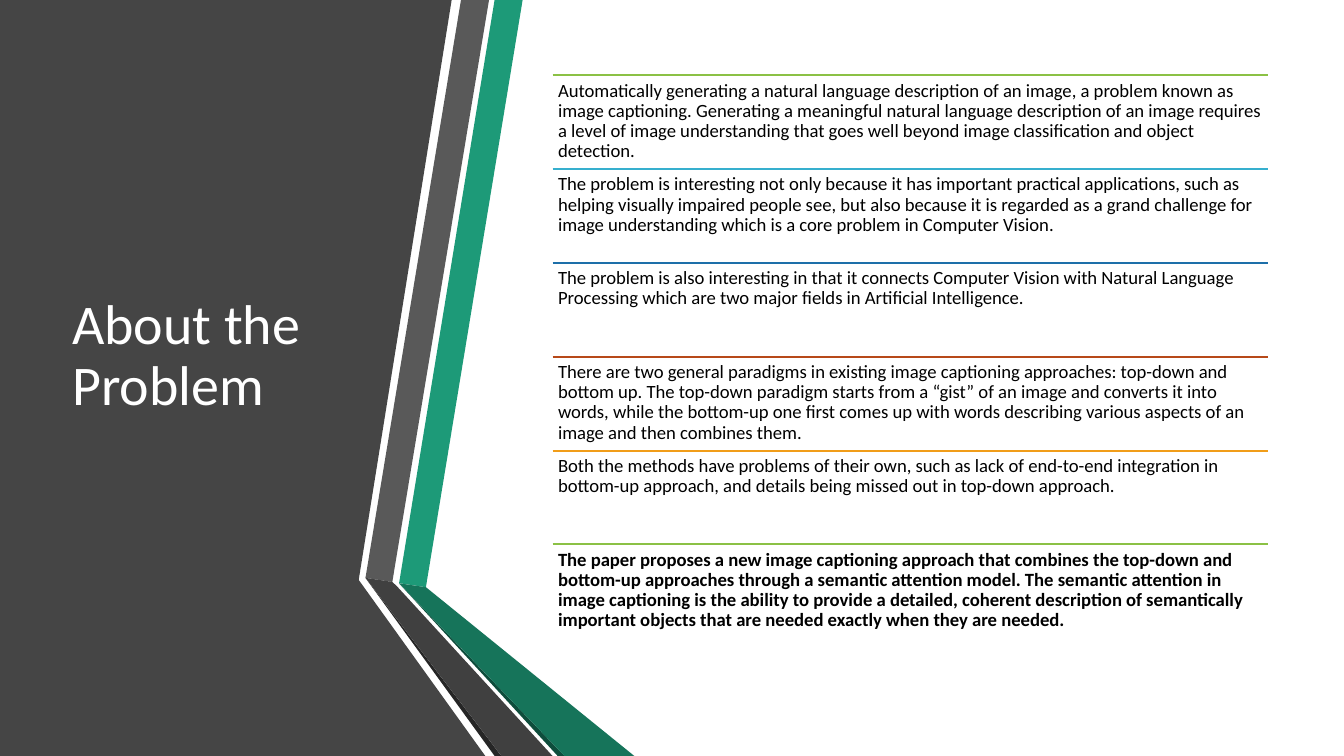
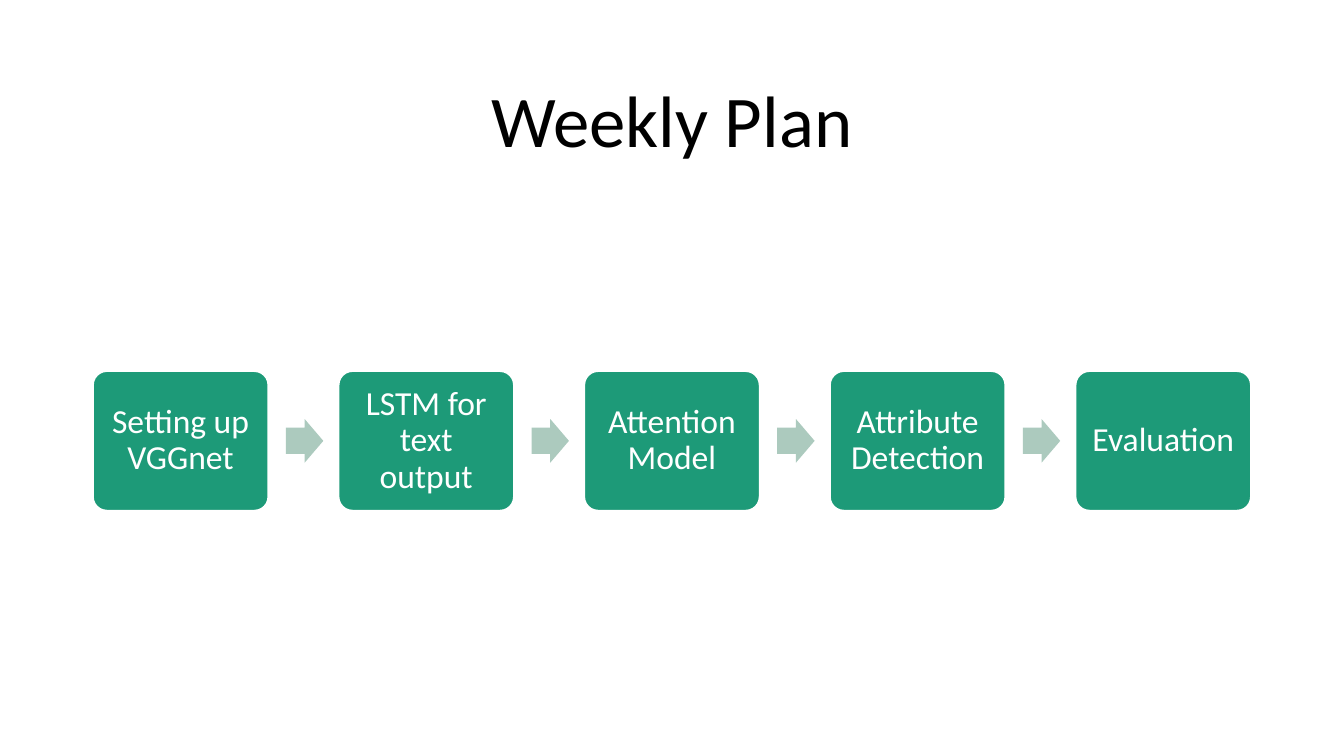
import dataclasses
import typing

import pptx
import pptx.dml.color
import pptx.enum.shapes
import pptx.enum.text
import pptx.oxml.ns
import pptx.shapes.autoshape
import pptx.slide
import pptx.text.text
import pptx.util
import lxml.etree

Pt = pptx.util.Pt
ShapeKind = pptx.enum.shapes.MSO_SHAPE
Anchor = pptx.enum.text.MSO_ANCHOR
Align = pptx.enum.text.PP_ALIGN


@dataclasses.dataclass(frozen=True)
class Theme:
    font: str = "Calibri"
    white: str = "FFFFFF"
    black: str = "000000"
    panel: str = "454545"
    green: str = "1D9A78"
    green_shade: str = "16745A"
    green_edge: str = "0E4D3C"
    grey: str = "595959"
    grey_shade: str = "404040"
    grey_edge: str = "262626"
    arrow: str = "ACCABE"
    rules: tuple[str, ...] = ("8BC145", "36AFCE", "1D6FA9", "B74919", "F19D19")
    side_title_size: float = 30
    title_size: float = 39
    step_size: float = 18
    body_size: float = 10
    line_spacing: float = 0.9
    line_width: float = 1


THEME = Theme()
WIDTH, HEIGHT = 720, 405


class Frame(typing.NamedTuple):
    left: float
    top: float
    width: float
    height: float

    def lengths(self) -> list[pptx.util.Length]:
        return [Pt(value) for value in self]


class Ribbon(typing.NamedTuple):
    color: str
    points: tuple[tuple[float, float], ...]


class Style(typing.NamedTuple):
    size: float
    color: str
    align: Align = Align.LEFT
    anchor: Anchor = Anchor.MIDDLE
    insets: tuple[float, float] = (7.2, 3.6)


class Statement(typing.NamedTuple):
    text: str
    bold: bool = False


SIDE_TITLE = Style(THEME.side_title_size, THEME.white)
TITLE = Style(THEME.title_size, THEME.black, Align.CENTER)
BODY = Style(THEME.body_size, THEME.black, anchor=Anchor.TOP, insets=(3, 3))
STEP = Style(THEME.step_size, THEME.white, Align.CENTER, insets=(5, 5))

GREY_KNEE, GREY_INNER = (195.8, 309.6), (210.2, 311.8)
GREEN_KNEE, GREEN_INNER = (213.8, 312.5), (228.2, 314.6)
GREY_FOOT, GREEN_FOOT = (268.6, HEIGHT), (302.4, HEIGHT)

RIBBONS = (
    Ribbon(THEME.panel, ((0, 0), (242, 0), (192.2, 310.7), (260, HEIGHT), (0, HEIGHT))),
    Ribbon(THEME.green, (GREEN_KNEE, GREEN_INNER, (280, 0), (265, 0))),
    Ribbon(THEME.grey, (GREY_KNEE, GREY_INNER, (262, 0), (247, 0))),
    Ribbon(THEME.grey_edge, (GREY_KNEE, (265, HEIGHT), GREY_FOOT)),
    Ribbon(THEME.green_edge, (GREEN_KNEE, (298.8, HEIGHT), GREEN_FOOT)),
    Ribbon(THEME.green_shade, (GREEN_KNEE, GREEN_FOOT, (339.8, HEIGHT), GREEN_INNER)),
    Ribbon(THEME.grey_shade, (GREY_KNEE, GREY_FOOT, (296, HEIGHT), (213.1, 314.6), GREY_INNER)),
)

STATEMENTS = (
    Statement(
        "Automatically generating a natural language description of an image, a problem known as "
        "image captioning. Generating a meaningful natural language description of an image requires "
        "a level of image understanding that goes well beyond image classification and object detection."
    ),
    Statement(
        "The problem is interesting not only because it has important practical applications, such as "
        "helping visually impaired people see, but also because it is regarded as a grand challenge for "
        "image understanding which is a core problem in Computer Vision."
    ),
    Statement(
        "The problem is also interesting in that it connects Computer Vision with Natural Language "
        "Processing which are two major fields in Artificial Intelligence."
    ),
    Statement(
        "There are two general paradigms in existing image captioning approaches: top-down and "
        "bottom up. The top-down paradigm starts from a “gist” of an image and converts it into "
        "words, while the bottom-up one first comes up with words describing various aspects of an "
        "image and then combines them."
    ),
    Statement(
        "Both the methods have problems of their own, such as lack of end-to-end integration in "
        "bottom-up approach, and details being missed out in top-down approach."
    ),
    Statement(
        "The paper proposes a new image captioning approach that combines the top-down and "
        "bottom-up approaches through a semantic attention model. The semantic attention in "
        "image captioning is the ability to provide a detailed, coherent description of "
        "semantically important objects that are needed exactly when they are needed.",
        bold=True,
    ),
)
STATEMENT_FRAME = Frame(296, 40.4, 383.4, 50.25)

STEPS = (
    "Setting up VGGnet",
    "LSTM for text output",
    "Attention Model",
    "Attribute Detection",
    "Evaluation",
)
STEP_FRAME = Frame(49.8, 198.8, 94, 74.8)
STEP_PITCH = 131.6
ARROW_FRAME = Frame(153.2, 224.5, 20, 23.4)


def rgb(color: str) -> pptx.dml.color.RGBColor:
    return pptx.dml.color.RGBColor.from_string(color)


def write(frame: pptx.text.text.TextFrame, text: str, style: Style, bold: bool = False) -> None:
    frame.word_wrap = True
    frame.vertical_anchor = style.anchor
    frame.margin_left = frame.margin_right = Pt(style.insets[0])
    frame.margin_top = frame.margin_bottom = Pt(style.insets[1])
    para = frame.paragraphs[0]
    para.alignment = style.align
    para.line_spacing = THEME.line_spacing
    span = para.add_run()
    span.text = text
    span.font.name = THEME.font
    span.font.size = Pt(style.size)
    span.font.bold = bold
    span.font.color.rgb = rgb(style.color)


def add_text(page: pptx.slide.Slide, frame: Frame, text: str, style: Style, bold: bool = False) -> None:
    box = page.shapes.add_textbox(*frame.lengths())
    write(box.text_frame, text, style, bold)


def paint(shape: pptx.shapes.autoshape.Shape, color: str) -> None:
    shape.shadow.inherit = False
    shape.fill.solid()
    shape.fill.fore_color.rgb = rgb(color)
    shape.line.fill.background()


def add_ribbon(page: pptx.slide.Slide, ribbon: Ribbon) -> None:
    start, *corners = [(Pt(x), Pt(y)) for x, y in ribbon.points]
    builder = page.shapes.build_freeform(*start, scale=1)
    builder.add_line_segments(corners, close=True)
    paint(builder.convert_to_shape(), ribbon.color)


def add_rule(page: pptx.slide.Slide, frame: Frame, color: str) -> None:
    left, top, width, _ = frame.lengths()
    rule = page.shapes.add_connector(
        pptx.enum.shapes.MSO_CONNECTOR.STRAIGHT, left, top, left + width, top
    )
    rule.line.color.rgb = rgb(color)
    rule.line.width = Pt(THEME.line_width)
    properties = rule._element.spPr
    lxml.etree.SubElement(properties, pptx.oxml.ns.qn("a:effectLst"))


def add_step(page: pptx.slide.Slide, frame: Frame, text: str) -> None:
    box = page.shapes.add_shape(ShapeKind.ROUNDED_RECTANGLE, *frame.lengths())
    box.adjustments[0] = 0.1
    paint(box, THEME.green)
    box.line.color.rgb = rgb(THEME.white)
    box.line.width = Pt(THEME.line_width)
    write(box.text_frame, text, STEP)


def add_arrow(page: pptx.slide.Slide, frame: Frame) -> None:
    arrow = page.shapes.add_shape(ShapeKind.RIGHT_ARROW, *frame.lengths())
    arrow.adjustments[0] = 0.6
    arrow.adjustments[1] = 0.5
    paint(arrow, THEME.arrow)


def build_problem(page: pptx.slide.Slide) -> None:
    for ribbon in RIBBONS:
        add_ribbon(page, ribbon)
    add_text(page, Frame(31.6, 40.4, 164.2, 301.6), "About the Problem", SIDE_TITLE)
    for index, statement in enumerate(STATEMENTS):
        frame = STATEMENT_FRAME._replace(top=STATEMENT_FRAME.top + index * STATEMENT_FRAME.height)
        add_rule(page, frame, THEME.rules[index % len(THEME.rules)])
        add_text(page, frame, statement.text, BODY, statement.bold)


def build_plan(page: pptx.slide.Slide) -> None:
    add_text(page, Frame(49.6, 33, 620.8, 67), "Weekly Plan", TITLE)
    for index, step in enumerate(STEPS):
        shift = index * STEP_PITCH
        add_step(page, STEP_FRAME._replace(left=STEP_FRAME.left + shift), step)
        if index < len(STEPS) - 1:
            add_arrow(page, ARROW_FRAME._replace(left=ARROW_FRAME.left + shift))


def main() -> None:
    deck = pptx.Presentation()
    deck.slide_width, deck.slide_height = Pt(WIDTH), Pt(HEIGHT)
    for build in (build_problem, build_plan):
        build(deck.slides.add_slide(deck.slide_layouts[6]))
    deck.save("out.pptx")


if __name__ == "__main__":
    main()
